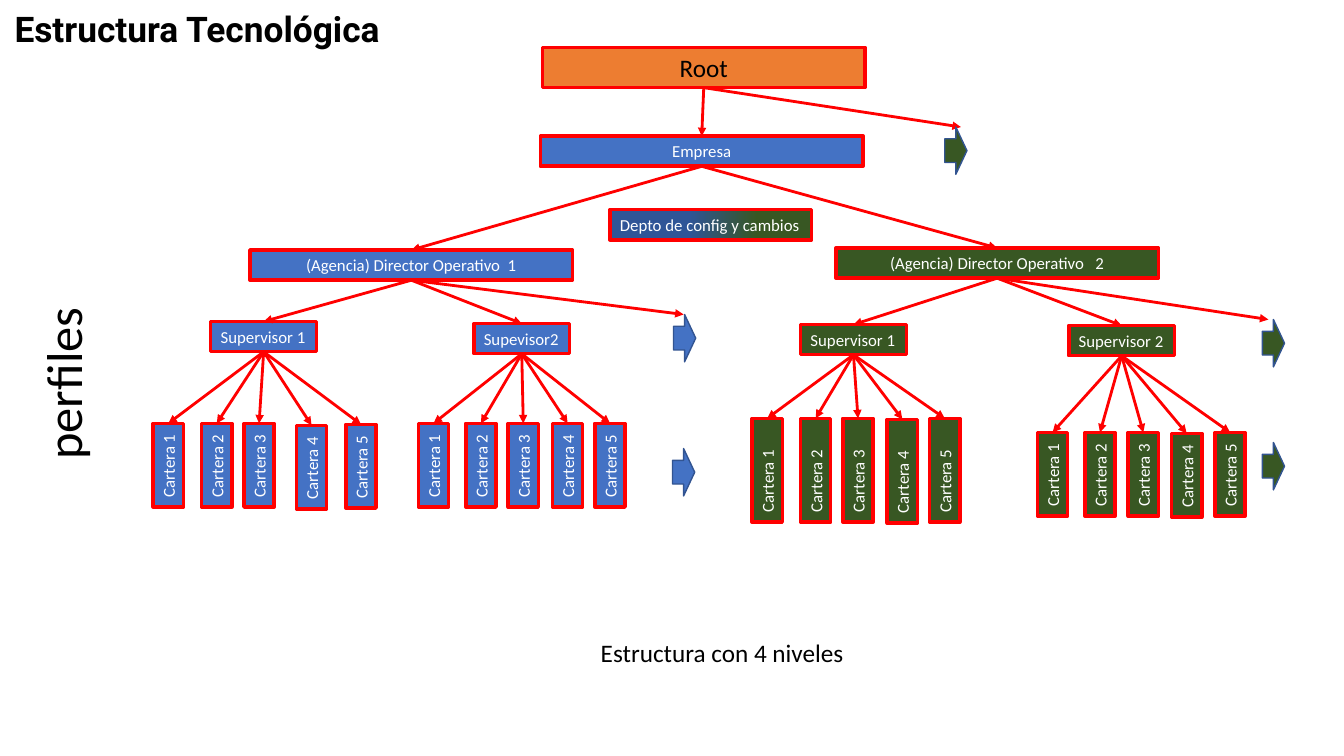
from pptx import Presentation
from pptx.dml.color import RGBColor
from pptx.enum.shapes import MSO_CONNECTOR, MSO_SHAPE
from pptx.enum.text import MSO_ANCHOR, MSO_AUTO_SIZE, PP_ALIGN
from pptx.oxml.ns import qn
from pptx.util import Inches, Pt
from lxml import etree

RECT, ARROW = MSO_SHAPE.RECTANGLE, MSO_SHAPE.RIGHT_ARROW
STRAIGHT = MSO_CONNECTOR.STRAIGHT
LEFT, CENTER = PP_ALIGN.LEFT, PP_ALIGN.CENTER
TOP, BOTTOM = MSO_ANCHOR.TOP, MSO_ANCHOR.BOTTOM
GROW, NO_FIT = MSO_AUTO_SIZE.SHAPE_TO_FIT_TEXT, MSO_AUTO_SIZE.NONE
TOP_SITE, BOTTOM_SITE = 0, 2

BLACK = RGBColor(0x00, 0x00, 0x00)
WHITE = RGBColor(0xFF, 0xFF, 0xFF)
RED = RGBColor(0xFF, 0x00, 0x00)
BLUE = RGBColor(0x44, 0x72, 0xC4)
DEEP_BLUE = RGBColor(0x2F, 0x55, 0x97)
EDGE_BLUE = RGBColor(0x32, 0x54, 0x91)
GREEN = RGBColor(0x38, 0x57, 0x23)
ORANGE = RGBColor(0xED, 0x7D, 0x31)

BOX_HEIGHT = 0.3
WIDE = 3.2


class Chart:
    """Organisation chart style and the slide it is drawn on."""

    font = "Calibri"

    def __init__(self, slide):
        """Keep the slide to draw on."""
        self.slide = slide

    def set_text(self, shape, text, size, color, align=LEFT, wrap=True):
        """Put one formatted paragraph in a shape that grows with its text."""
        frame = shape.text_frame
        frame.text = text
        frame.word_wrap = wrap
        frame.auto_size = GROW
        frame.vertical_anchor = TOP
        paragraph = frame.paragraphs[0]
        paragraph.alignment = align
        font = paragraph.runs[0].font
        font.name, font.size, font.color.rgb = self.font, Pt(size), color

    def title(self, text, left, top, width, height):
        """Place and format the title placeholder."""
        title = self.slide.shapes.title
        title.left, title.top = Inches(left), Inches(top)
        title.width, title.height = Inches(width), Inches(height)
        self.set_text(title, text, 25.2, BLACK, CENTER)
        title.text_frame.auto_size = NO_FIT
        title.text_frame.vertical_anchor = BOTTOM
        paragraph = title.text_frame.paragraphs[0]
        paragraph.line_spacing = 0.9
        paragraph.runs[0].font.name = "Roboto"
        paragraph.runs[0].font.bold = True

    def label(self, text, left, top, width, height, size, **style):
        """Add a free text label."""
        label = self.slide.shapes.add_textbox(
            Inches(left), Inches(top), Inches(width), Inches(height))
        self.set_text(label, text, size, BLACK, **style)
        return label

    def shape(self, kind, left, top, width, height, fill, edge, weight):
        """Add a filled and outlined preset shape."""
        shape = self.slide.shapes.add_shape(
            kind, Inches(left), Inches(top), Inches(width), Inches(height))
        shape.shadow.inherit = False
        shape.fill.solid()
        shape.fill.fore_color.rgb = fill
        shape.line.color.rgb = edge
        shape.line.width = Pt(weight)
        return shape

    def box(self, text, left, top, width, fill, height=BOX_HEIGHT,
            size=12, color=WHITE, align=LEFT, wrap=False):
        """Add a red-edged box with its text."""
        box = self.shape(RECT, left, top, width, height, fill, RED, 2.5)
        self.set_text(box, text, size, color, align, wrap)
        return box

    def wide_box(self, text, left, top, fill, **style):
        """Add a wide box with centred text."""
        return self.box(text, left, top, WIDE, fill,
                        align=CENTER, wrap=True, **style)

    def upright_box(self, text, center, top, length, fill, wrap):
        """Add a box turned to read upwards, given its visible top centre."""
        box = self.box(text, center - length / 2,
                       top + (length - BOX_HEIGHT) / 2, length, fill, wrap=wrap)
        box.rotation = 270

    def more(self, left, top, fill):
        """Add a block arrow standing for further branches."""
        self.shape(ARROW, left, top, 0.22, 0.47, fill, EDGE_BLUE, 1)

    def link(self, parent, child=None, point=(0, 0)):
        """Draw an arrow from under a parent to a child box or a point."""
        x, y = map(Inches, point)
        link = self.slide.shapes.add_connector(STRAIGHT, x, y, x, y)
        link.begin_connect(parent, BOTTOM_SITE)
        if child is not None:
            link.end_connect(child, TOP_SITE)
        link.line.color.rgb = RED
        link.line.width = Pt(2)
        properties = link.element.spPr
        etree.SubElement(properties.find(qn("a:ln")), qn("a:tailEnd"),
                         type="triangle")
        etree.SubElement(properties, qn("a:effectLst"))

    def team(self, director, name, left, top, width, fill, centers, tops,
             length=0.83, wrap=False):
        """Add a supervisor and the portfolios below."""
        supervisor = self.box(name, left, top, width, fill)
        self.link(director, supervisor)
        for number, (center, y) in enumerate(zip(centers, tops), 1):
            self.upright_box(f"Cartera {number}", center, y, length, fill, wrap)
            self.link(supervisor, point=(center, y))


prs = Presentation()
prs.slide_width, prs.slide_height = Inches(13.33), Inches(7.5)
chart = Chart(prs.slides.add_slide(prs.slide_layouts[5]))

chart.title("Estructura Tecnológica ", -0.08, 0.05, 4.16, 0.5)
profiles = chart.label("perfiles", -1.07, 3.45, 3.38, 0.71, 36, align=CENTER)
profiles.rotation = 270
chart.label("Estructura con 4 niveles", 5.86, 6.27, 2.64, 0.4, 18, wrap=False)

root = chart.wide_box("Root", 5.38, 0.47, ORANGE, height=0.4, size=18,
                      color=BLACK)
company = chart.wide_box("Empresa", 5.36, 1.35, BLUE)
chart.link(root, company)

config = chart.box("Depto de config y cambios", 6.05, 2.08, 2, BLUE)
config.fill.gradient()
config.fill.gradient_angle = 180
for stop, position, color in zip(config.fill.gradient_stops, (0.27, 0.61),
                                 (GREEN, DEEP_BLUE)):
    stop.position, stop.color.rgb = position, color

first_agency = chart.wide_box("(Agencia) Director Operativo  1", 2.48, 2.48, BLUE)
second_agency = chart.wide_box("(Agencia) Director Operativo   2", 8.29, 2.46, GREEN)
for agency in (first_agency, second_agency):
    chart.link(company, agency)

chart.team(first_agency, "Supervisor 1", 2.09, 3.19, 1.05, BLUE,
           (1.67, 2.15, 2.57, 3.09, 3.58), (4.2, 4.2, 4.2, 4.22, 4.21))
chart.team(first_agency, "Supevisor2", 4.7, 3.21, 0.95, BLUE,
           (4.3, 4.77, 5.19, 5.63, 6.05), (4.2,) * 5)
chart.team(second_agency, "Supervisor 1", 7.94, 3.22, 1.05, GREEN,
           (7.61, 8.09, 8.51, 8.95, 9.37), (4.15, 4.15, 4.15, 4.16, 4.15),
           length=1.03, wrap=True)
chart.team(second_agency, "Supervisor 2", 10.6, 3.23, 1.05, GREEN,
           (10.44, 10.91, 11.34, 11.77, 12.2), (4.29, 4.29, 4.29, 4.3, 4.29))

for parent, tip in ((root, (9.53, 1.26)), (first_agency, (6.78, 3.12)),
                    (second_agency, (12.58, 3.17))):
    chart.link(parent, point=tip)
for left, top, fill in ((9.37, 1.26, GREEN), (6.68, 3.12, BLUE),
                        (6.67, 4.45, BLUE), (12.52, 3.17, GREEN),
                        (12.52, 4.39, GREEN)):
    chart.more(left, top, fill)

prs.save("out.pptx")
